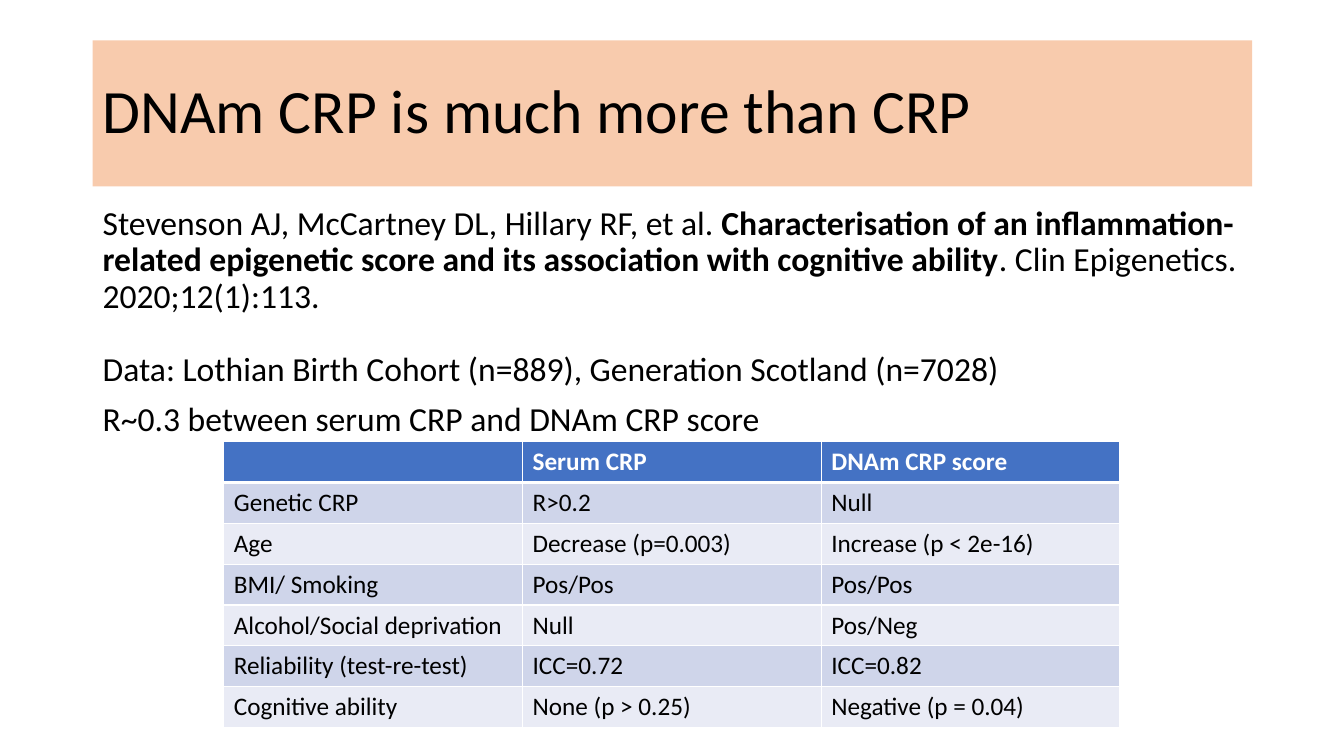
import dataclasses
import typing

import lxml.etree
import pptx
import pptx.dml.color
import pptx.enum.shapes
import pptx.enum.text
import pptx.oxml.ns
import pptx.util

COLORS = {
    "black": "000000",
    "white": "FFFFFF",
    "title": "F8CBAD",
    "header": "4472C4",
    "odd": "CFD5EA",
    "even": "E9EBF5",
}
FONT = "Calibri"
LEFT, WIDTH = 0.92, 11.5
TABLE_LEFT, TABLE_TOP, TABLE_WIDTH, TABLE_HEIGHT = 2.22, 4.38, 8.89, 2.84


@dataclasses.dataclass(frozen=True)
class TextRun:
    text: str
    bold: bool = False


@dataclasses.dataclass(frozen=True)
class BodyParagraph:
    runs: tuple[TextRun, ...]
    space_before: float = 0


@dataclasses.dataclass(frozen=True)
class ComparisonRow:
    measure: str
    serum: str
    methylation: str


BODY = [
    BodyParagraph((
        TextRun("Stevenson AJ, McCartney DL, Hillary RF, et al. "),
        TextRun("Characterisation of an inflammation-related epigenetic score "
                "and its association with cognitive ability", bold=True),
        TextRun(". Clin Epigenetics. 2020;12(1):113."),
    )),
    BodyParagraph((TextRun("Data: Lothian Birth Cohort (n=889), Generation Scotland (n=7028)"),), 26.4),
    BodyParagraph((TextRun("R~0.3 between serum CRP and DNAm CRP score"),), 10),
]
ROWS = [
    ComparisonRow("", "Serum CRP", "DNAm CRP score"),
    ComparisonRow("Genetic CRP", "R>0.2", "Null"),
    ComparisonRow("Age", "Decrease (p=0.003)", "Increase (p < 2e-16)"),
    ComparisonRow("BMI/ Smoking", "Pos/Pos", "Pos/Pos"),
    ComparisonRow("Alcohol/Social deprivation", "Null", "Pos/Neg"),
    ComparisonRow("Reliability (test-re-test)", "ICC=0.72", "ICC=0.82"),
    ComparisonRow("Cognitive ability", "None (p > 0.25)", "Negative (p = 0.04)"),
]


def color(name: str) -> pptx.dml.color.RGBColor:
    return pptx.dml.color.RGBColor.from_string(COLORS[name])


def add_text(paragraph: typing.Any, text: str, *, size: float, fill: str = "black",
             bold: bool = False, line_spacing: float = 0.9) -> None:
    paragraph.alignment = pptx.enum.text.PP_ALIGN.LEFT
    paragraph.line_spacing = line_spacing
    run = paragraph.add_run()
    run.text = text
    run.font.name = FONT
    run.font.size = pptx.util.Pt(size)
    run.font.bold = bold
    run.font.color.rgb = color(fill)


def add_title(slide: typing.Any) -> None:
    shape = slide.shapes.add_shape(
        pptx.enum.shapes.MSO_SHAPE.RECTANGLE,
        *map(pptx.util.Inches, (LEFT, 0.4, WIDTH, 1.45)))
    shape.shadow.inherit = False
    shape.fill.solid()
    shape.fill.fore_color.rgb = color("title")
    shape.line.fill.background()
    shape.text_frame.word_wrap = True
    shape.text_frame.vertical_anchor = pptx.enum.text.MSO_ANCHOR.MIDDLE
    add_text(shape.text_frame.paragraphs[0], "DNAm CRP is much more than CRP", size=44)


def add_body(slide: typing.Any) -> None:
    shape = slide.shapes.add_textbox(*map(pptx.util.Inches, (LEFT, 2, WIDTH, 4.76)))
    frame = shape.text_frame
    frame.word_wrap = True
    for index, item in enumerate(BODY):
        paragraph = frame.add_paragraph() if index else frame.paragraphs[0]
        paragraph.space_before = pptx.util.Pt(item.space_before)
        for run in item.runs:
            add_text(paragraph, run.text, size=24, bold=run.bold)


def set_borders(cell: typing.Any, top: float, bottom: float) -> None:
    properties = cell._tc.get_or_add_tcPr()
    for side, width in (("L", 1), ("R", 1), ("T", top), ("B", bottom)):
        line = lxml.etree.SubElement(
            properties, pptx.oxml.ns.qn(f"a:ln{side}"), w=str(pptx.util.Pt(width)))
        fill = lxml.etree.SubElement(line, pptx.oxml.ns.qn("a:solidFill"))
        lxml.etree.SubElement(fill, pptx.oxml.ns.qn("a:srgbClr"), val=COLORS["white"])


def add_comparison_table(slide: typing.Any) -> None:
    columns = len(dataclasses.fields(ComparisonRow))
    table = slide.shapes.add_table(
        len(ROWS), columns,
        *map(pptx.util.Inches, (TABLE_LEFT, TABLE_TOP, TABLE_WIDTH, TABLE_HEIGHT))).table
    for column in table.columns:
        column.width = pptx.util.Inches(TABLE_WIDTH / columns)
    for row_index, row in enumerate(ROWS):
        table.rows[row_index].height = pptx.util.Inches(TABLE_HEIGHT / len(ROWS))
        header = row_index == 0
        band = "header" if header else ("odd" if row_index % 2 else "even")
        for column_index, text in enumerate(dataclasses.astuple(row)):
            cell = table.cell(row_index, column_index)
            set_borders(cell, top=3 if row_index == 1 else 1, bottom=3 if header else 1)
            cell.fill.solid()
            cell.fill.fore_color.rgb = color(band)
            if text:
                add_text(cell.text_frame.paragraphs[0], text, size=18, bold=header,
                         fill="white" if header else "black", line_spacing=1.0)


def main() -> None:
    presentation = pptx.Presentation()
    presentation.slide_width = pptx.util.Inches(13.33)
    presentation.slide_height = pptx.util.Inches(7.5)
    slide = presentation.slides.add_slide(presentation.slide_layouts[6])
    add_title(slide)
    add_body(slide)
    add_comparison_table(slide)
    presentation.save("out.pptx")


if __name__ == "__main__":
    main()
